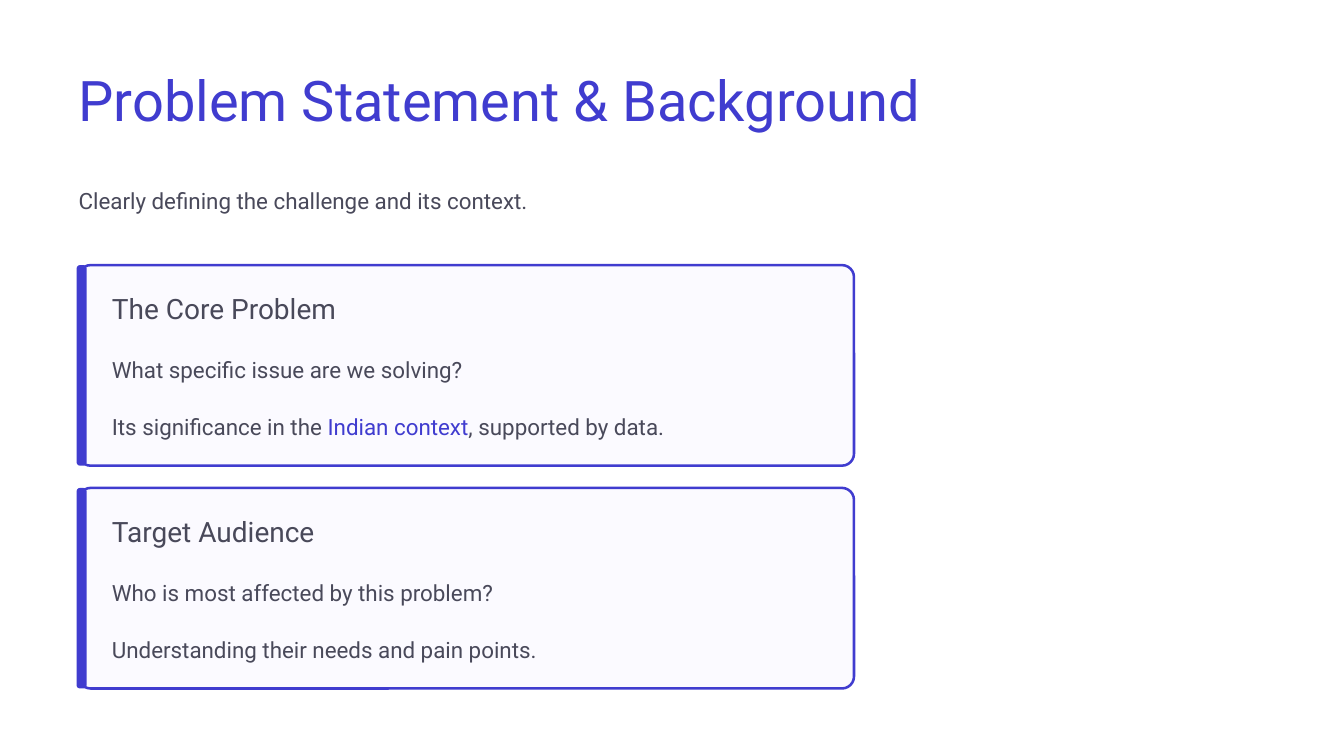
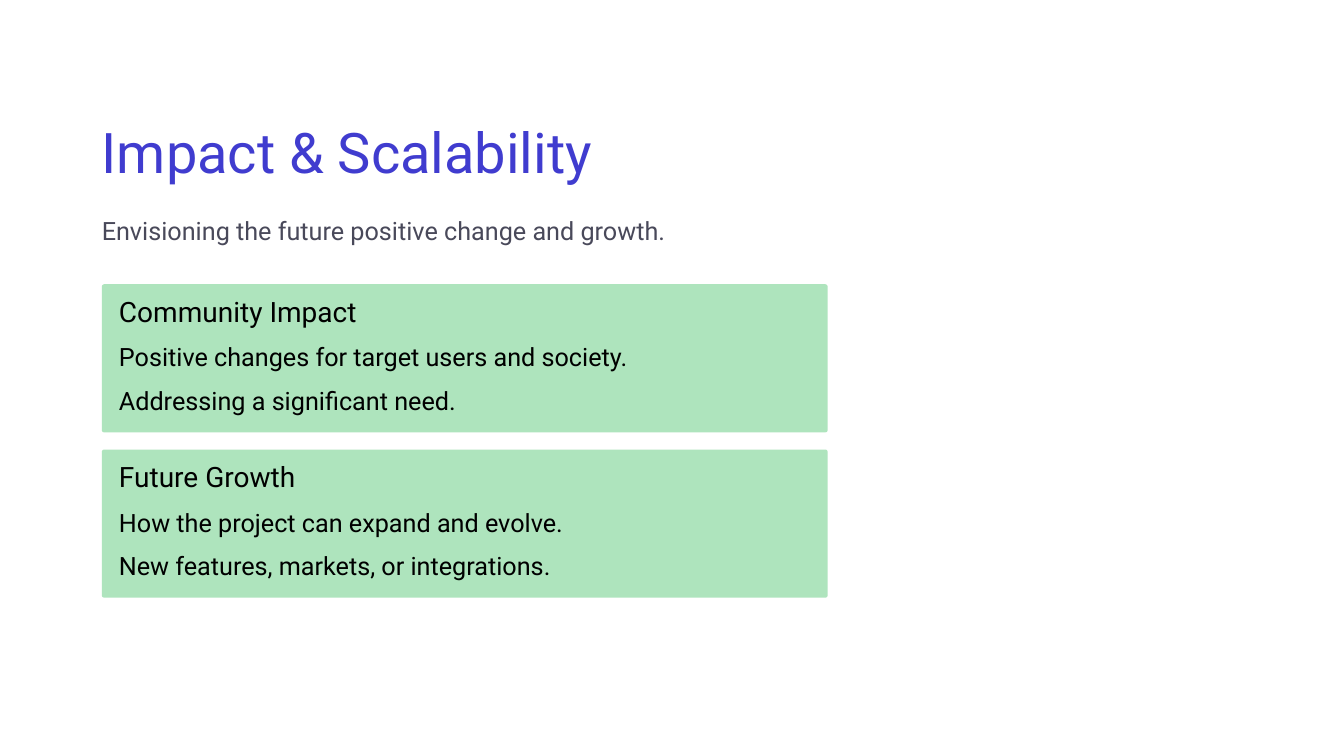
from pptx import Presentation
from pptx.dml.color import RGBColor
from pptx.enum.shapes import MSO_SHAPE
from pptx.util import Inches, Pt

ROUNDED = MSO_SHAPE.ROUNDED_RECTANGLE
FONT = "Roboto"
COLORS = {
    "paper": "FFFFFF",
    "accent": "403CCF",
    "body": "49495A",
    "panel": "FBFAFF",
    "mint": "AEE4BD",
    "black": "000000",
}

# Content: a line is a list of (text, colour) runs; None takes the card's colour
PROBLEM = {
    "title": "Problem Statement & Background",
    "subtitle": "Clearly defining the challenge and its context.",
    "cards": [
        ("The Core Problem", [
            [("What specific issue are we solving?", None)],
            [("Its significance in the ", None), ("Indian context", "accent"),
             (", supported by data.", None)],
        ]),
        ("Target Audience", [
            [("Who is most affected by this problem?", None)],
            [("Understanding their needs and pain points.", None)],
        ]),
    ],
}
IMPACT = {
    "title": "Impact & Scalability",
    "subtitle": "Envisioning the future positive change and growth.",
    "cards": [
        ("Community Impact", [
            [("Positive changes for target users and society.", None)],
            [("Addressing a significant need.", None)],
        ]),
        ("Future Growth", [
            [("How the project can expand and evolve.", None)],
            [("New features, markets, or integrations.", None)],
        ]),
    ],
}

# Layouts: lengths in inches; text styles are (size, line spacing) in points
OUTLINED = {
    "left": 0.78, "title_top": 0.62, "subtitle_top": 1.77,
    "title": (40, 50), "heading": (20, 25), "line": (16, 25.5),
    "card_top": 2.63, "card_size": (7.69, 1.99), "card_gap": 0.22,
    "corner": 0.06, "fill": "panel", "border": "accent", "bar": True,
    "text": "body", "inset": 0.33,
    "heading_drop": 0.25, "line_drop": 0.82, "line_pitch": 0.56,
}
FILLED = {
    "left": 1.01, "title_top": 1.3, "subtitle_top": 2.17,
    "title": (40, 38), "heading": (20, 19), "line": (18, 19.5),
    "card_top": 2.82, "card_size": (7.2, 1.47), "card_gap": 0.17,
    "corner": 0.017, "fill": "mint", "border": None, "bar": False,
    "text": "black", "inset": 0.17,
    "heading_drop": 0.17, "line_drop": 0.6, "line_pitch": 0.43,
}
TITLE_WIDTH = 11
BAR_WIDTH, BAR_OVERHANG, BAR_CORNER = 0.1, 0.02, 0.34


def color(name):
    return RGBColor.from_string(COLORS[name])


def add_text(page, left, top, width, style, runs, base):
    size, spacing = style
    box = page.shapes.add_textbox(Inches(left), Inches(top), Inches(width),
                                  Inches(spacing / 72))
    frame = box.text_frame
    frame.word_wrap = True
    frame.margin_left = frame.margin_right = 0
    frame.margin_top = frame.margin_bottom = 0
    para = frame.paragraphs[0]
    para.line_spacing = Pt(spacing)
    for text, tint in runs:
        span = para.add_run()
        span.text = text
        span.font.name = FONT
        span.font.size = Pt(size)
        span.font.color.rgb = color(tint or base)


def add_panel(page, left, top, width, height, corner, fill, border=None):
    panel = page.shapes.add_shape(ROUNDED, Inches(left), Inches(top),
                                  Inches(width), Inches(height))
    panel.adjustments[0] = corner
    panel.shadow.inherit = False
    panel.fill.solid()
    panel.fill.fore_color.rgb = color(fill)
    if border:
        panel.line.color.rgb = color(border)
        panel.line.width = Pt(1.8)
    else:
        panel.line.fill.background()


def add_card(page, layout, top, heading, lines):
    left = layout["left"]
    width, height = layout["card_size"]
    add_panel(page, left, top, width, height, layout["corner"],
              layout["fill"], layout["border"])
    if layout["bar"]:
        add_panel(page, left - BAR_OVERHANG, top, BAR_WIDTH, height,
                  BAR_CORNER, "accent")
    text_left = left + layout["inset"]
    text_width = width - 2 * layout["inset"]
    add_text(page, text_left, top + layout["heading_drop"], text_width,
             layout["heading"], [(heading, None)], layout["text"])
    for index, runs in enumerate(lines):
        line_top = top + layout["line_drop"] + index * layout["line_pitch"]
        add_text(page, text_left, line_top, text_width, layout["line"],
                 runs, layout["text"])


def add_page(deck, content, layout):
    page = deck.slides.add_slide(deck.slide_layouts[6])
    page.background.fill.solid()
    page.background.fill.fore_color.rgb = color("paper")
    # Title and subtitle
    for key, style, tint in (("title", "title", "accent"),
                             ("subtitle", "line", "body")):
        add_text(page, layout["left"], layout[key + "_top"], TITLE_WIDTH,
                 layout[style], [(content[key], None)], tint)
    # Stacked cards
    pitch = layout["card_size"][1] + layout["card_gap"]
    for index, (heading, lines) in enumerate(content["cards"]):
        add_card(page, layout, layout["card_top"] + index * pitch,
                 heading, lines)


def main():
    deck = Presentation()
    deck.slide_width, deck.slide_height = Inches(13.33), Inches(7.5)
    add_page(deck, PROBLEM, OUTLINED)
    add_page(deck, IMPACT, FILLED)
    deck.save("out.pptx")


if __name__ == "__main__":
    main()
